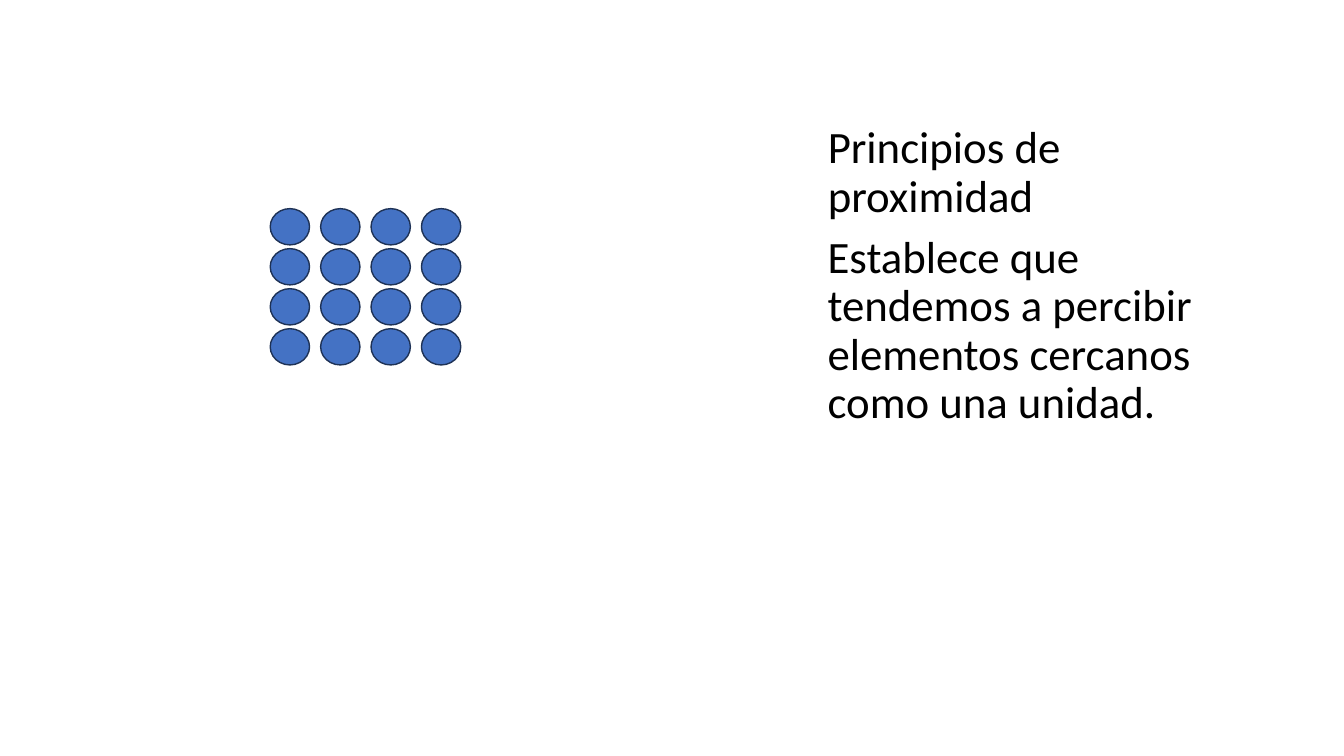
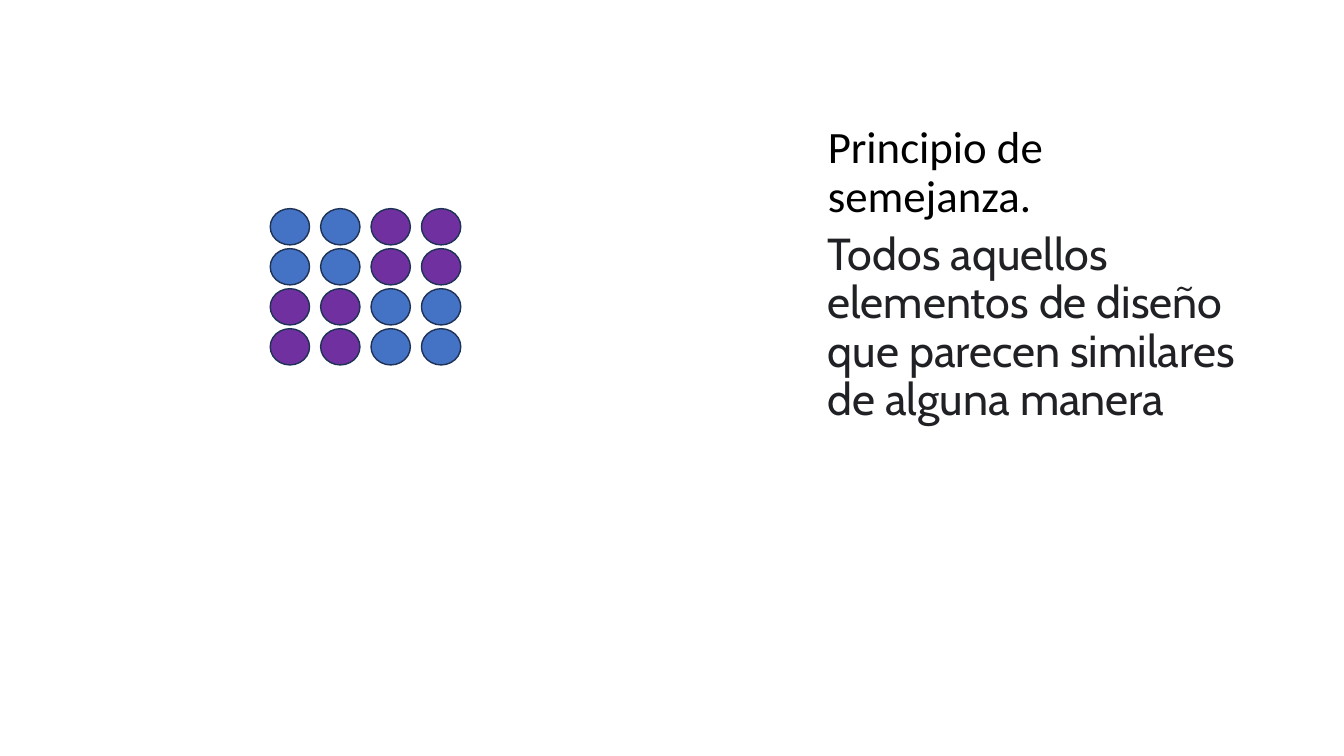
from pptx import Presentation
from pptx import util as u
from pptx.dml.color import RGBColor
from pptx.enum import shapes, text

BLUE, PURPLE, OUTLINE = "4472C4", "7030A0", "1E3256"
BLACK, CHARCOAL = "000000", "202124"

# Text column and dot grid, in inches
COLUMN_LEFT, COLUMN_WIDTH = 8.11, 4.3
TITLE_TOP, TITLE_HEIGHT, BODY_HEIGHT = 0.5, 1.75, 4.17
GRID_LEFT, GRID_TOP = 2.68, 2.07
COLUMN_STEP, ROW_STEP = 0.5, 0.397
DOT_WIDTH, DOT_HEIGHT = 0.39, 0.36

# Title, explanation, its font, colour and top, and the dot colours by row
principles = [
    ("Principios de proximidad",
     "Establece que tendemos a percibir elementos cercanos como una unidad.",
     "Calibri", BLACK, 2.28, ["BBBB"] * 4),
    ("Principio de semejanza.",
     "Todos aquellos elementos de diseño que parecen similares de alguna manera",
     "Cabin", CHARCOAL, 2.25, ["BBPP"] * 2 + ["PPBB"] * 2),
]
dot_colours = {"B": BLUE, "P": PURPLE}


def colour(hex_string):
    return RGBColor.from_string(hex_string)


def write(holder, top, height, words, font, hex_string, anchor):
    holder.left, holder.top = u.Inches(COLUMN_LEFT), u.Inches(top)
    holder.width, holder.height = u.Inches(COLUMN_WIDTH), u.Inches(height)
    frame = holder.text_frame
    frame.text = words
    frame.word_wrap = True
    frame.auto_size = text.MSO_AUTO_SIZE.NONE
    frame.vertical_anchor = anchor
    paragraph = frame.paragraphs[0]
    paragraph.alignment = text.PP_ALIGN.LEFT
    paragraph.line_spacing = 0.9
    run = paragraph.runs[0]
    run.font.name, run.font.size = font, u.Pt(32)
    run.font.color.rgb = colour(hex_string)


prs = Presentation()
prs.slide_width, prs.slide_height = u.Inches(13.33), u.Inches(7.5)
title_only = prs.slide_layouts[5]

for heading, explanation, font, ink, body_top, pattern in principles:
    slide = prs.slides.add_slide(title_only)

    # Title and explanation
    write(slide.shapes.title, TITLE_TOP, TITLE_HEIGHT, heading,
          "Calibri", BLACK, text.MSO_ANCHOR.BOTTOM)
    write(slide.shapes.add_textbox(0, 0, 0, 0), body_top, BODY_HEIGHT, explanation,
          font, ink, text.MSO_ANCHOR.TOP)

    # Grid of dots
    for row, letters in enumerate(pattern):
        for column, letter in enumerate(letters):
            dot = slide.shapes.add_shape(
                shapes.MSO_SHAPE.OVAL,
                u.Inches(GRID_LEFT + column * COLUMN_STEP),
                u.Inches(GRID_TOP + row * ROW_STEP),
                u.Inches(DOT_WIDTH), u.Inches(DOT_HEIGHT))
            dot.shadow.inherit = False
            dot.fill.solid()
            dot.fill.fore_color.rgb = colour(dot_colours[letter])
            dot.line.color.rgb = colour(OUTLINE)
            dot.line.width = u.Pt(1)

prs.save("out.pptx")
